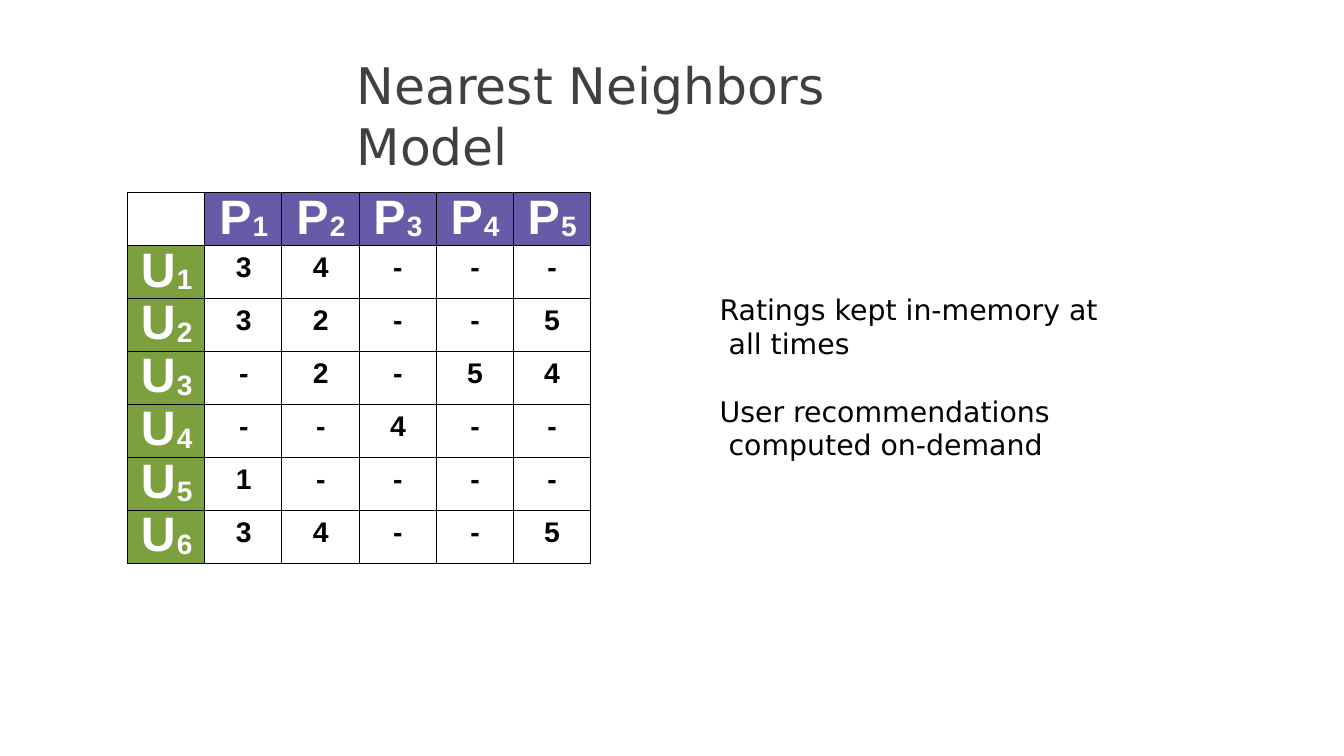
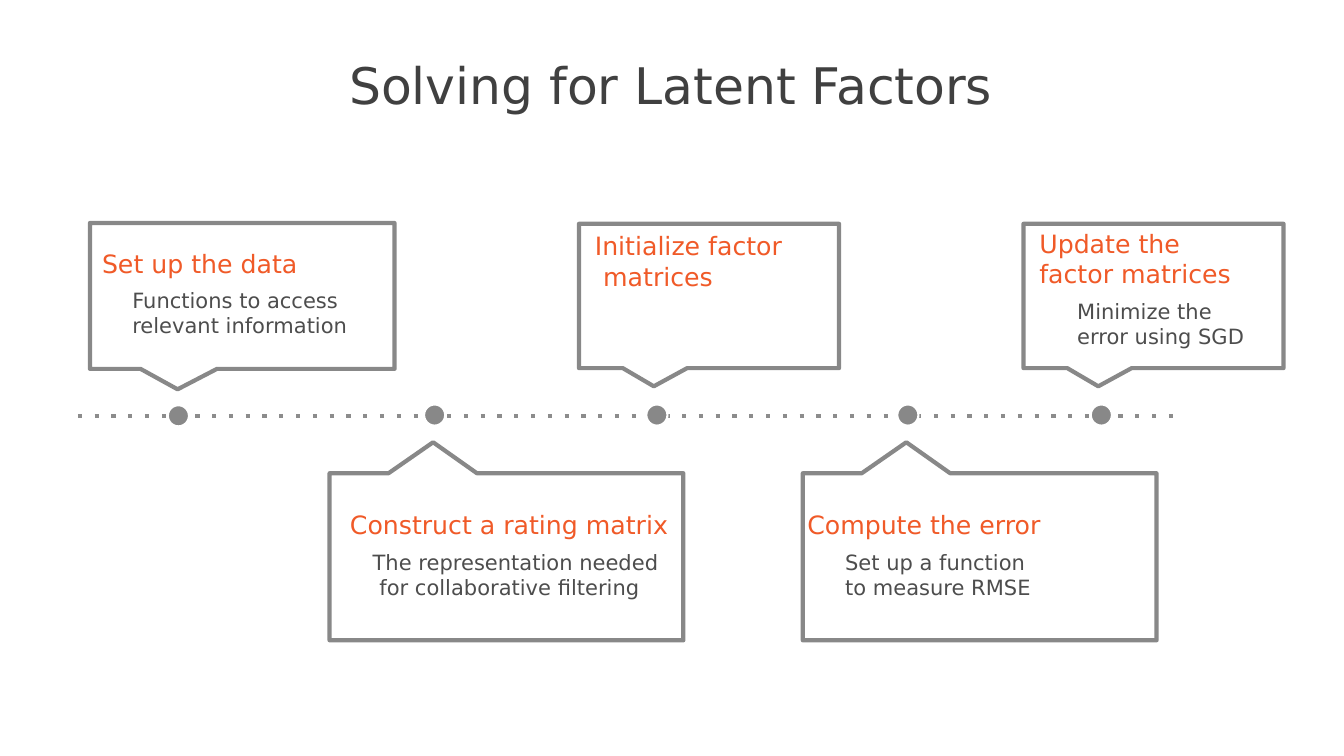
from lxml.etree import SubElement
from pptx import Presentation
from pptx.dml.color import RGBColor
from pptx.enum.shapes import MSO_CONNECTOR, MSO_SHAPE
from pptx.enum.text import PP_ALIGN
from pptx.oxml.ns import qn
from pptx.util import Inches, Pt

# Shared look
BODY_FONT, TABLE_FONT = "DejaVu Sans", "Arial"
TITLE_COLOR, DETAIL_COLOR, ACCENT = "404040", "4D4D4D", "F05A28"
BLACK, WHITE, GRAY, DOT_GRAY = "000000", "FFFFFF", "888888", "8C8C8C"
PRODUCT_FILL, USER_FILL, BORDER = "675BA7", "7CA03E", "000101"

# Ratings by user (rows) and product (columns)
RATINGS = ["34---", "32--5", "-2-54", "--4--", "1----", "34--5"]

# Timeline: marker centres and callouts
MARKERS = [(2.36, 5.5), (5.75, 5.49), (8.69, 5.49), (12.01, 5.49), (14.57, 5.49)]
UPPER_WIDE = dict(top=2.95, width=4.03, height=1.93, pointer=(0.67, 1.16, 1.68), tip=5.15)
UPPER = dict(top=2.96, width=3.44, height=1.91, pointer=(0.58, 0.99, 1.43), tip=5.11)
LOWER = dict(top=6.26, width=4.68, height=2.21, pointer=(0.78, 1.37, 1.95), tip=5.85)


def color(value):
    return RGBColor.from_string(value)


def add_span(para, text, size, ink, font=BODY_FONT, bold=False, baseline=0, spacing=0):
    span = para.add_run()
    span.text = text
    span.font.size = Pt(size)
    span.font.name = font
    span.font.bold = bold
    span.font.color.rgb = color(ink)
    properties = span.font._element
    if baseline:
        properties.set("baseline", str(baseline * 1000))
    if spacing:
        properties.set("spc", str(round(spacing * 100)))


def write(frame, text, align=PP_ALIGN.LEFT, indent=0.01, hanging=0, before=0,
          line=None, subscript=None, **font):
    """Add one paragraph; hanging moves the lines after the first one."""
    first = frame.paragraphs[0]
    para = frame.add_paragraph() if first.runs else first
    para.alignment = align
    para.space_before = Pt(before)
    if line:
        para.line_spacing = Pt(line)
    properties = para._p.get_or_add_pPr()
    properties.set("marL", str(Inches(indent + hanging)))
    properties.set("indent", str(-Inches(hanging)))
    add_span(para, text, **font)
    if subscript:
        add_span(para, subscript, **{**font, "baseline": -5})


def add_box(slide, left, top, width, height, inset=0.01):
    box = slide.shapes.add_textbox(Inches(left), Inches(top), Inches(width), Inches(height))
    frame = box.text_frame
    frame.word_wrap = True
    frame.margin_left = frame.margin_right = frame.margin_bottom = 0
    frame.margin_top = Inches(inset)
    return frame


def add_page(deck, title, left, width):
    page = deck.slides.add_slide(deck.slide_layouts[6])
    write(add_box(page, left, 0.71, width, 0.83), title, size=48, ink=TITLE_COLOR)
    return page


# Table
def style_cell(cell, fill=None, inset=0):
    cell.margin_left = cell.margin_right = cell.margin_bottom = 0
    cell.margin_top = Inches(inset)
    properties = cell._tc.get_or_add_tcPr()
    for side in ("a:lnL", "a:lnR", "a:lnT", "a:lnB"):
        border = SubElement(properties, qn(side), w=str(Pt(1)))
        solid = SubElement(border, qn("a:solidFill"))
        SubElement(solid, qn("a:srgbClr"), val=BORDER)
    if fill:
        cell.fill.solid()
        cell.fill.fore_color.rgb = color(fill)
    else:
        cell.fill.background()


def add_header(cell, letter, number, fill):
    style_cell(cell, fill)
    write(cell.text_frame, letter, subscript=str(number), align=PP_ALIGN.CENTER,
          line=49.1, size=46, ink=WHITE, font=TABLE_FONT, bold=True, spacing=1.2)


def add_ratings(page):
    rows, columns = len(RATINGS) + 1, len(RATINGS[0]) + 1
    frame = page.shapes.add_table(rows, columns, Inches(1.69), Inches(2.55),
                                  Inches(1.02 * columns), Inches(0.7 * rows))
    table = frame.table
    table.first_row = table.horz_banding = False
    for column in table.columns:
        column.width = Inches(1.02)
    for row in table.rows:
        row.height = Inches(0.7)
    style_cell(table.cell(0, 0))
    for number in range(1, columns):
        add_header(table.cell(0, number), "P", number, PRODUCT_FILL)
    for user, ratings in enumerate(RATINGS, 1):
        add_header(table.cell(user, 0), "U", user, USER_FILL)
        for product, rating in enumerate(ratings, 1):
            cell = table.cell(user, product)
            style_cell(cell, inset=0.08)
            write(cell.text_frame, rating, align=PP_ALIGN.CENTER, size=27,
                  ink=BLACK, font=TABLE_FONT, bold=True)


# Timeline
def add_dotted_line(page, left, right, y):
    line = page.shapes.add_connector(MSO_CONNECTOR.STRAIGHT, Inches(left), Inches(y),
                                     Inches(right), Inches(y))
    line.line.color.rgb = color(DOT_GRAY)
    line.line.width = Pt(4)
    SubElement(line.line._get_or_add_ln(), qn("a:prstDash"), val="dot")
    SubElement(line._element.spPr, qn("a:effectLst"))


def add_marker(page, x, y, size=0.28):
    marker = page.shapes.add_shape(MSO_SHAPE.OVAL, Inches(x - size / 2), Inches(y - size / 2),
                                   Inches(size), Inches(size))
    marker.shadow.inherit = False
    marker.fill.solid()
    marker.fill.fore_color.rgb = color(GRAY)
    marker.line.color.rgb = color(WHITE)
    marker.line.width = Pt(2)


def add_callout(page, left, top, width, height, pointer, tip):
    """Draw a box whose pointer reaches up or down to the height of tip."""
    right, bottom = left + width, top + height
    start, middle, end = (left + offset for offset in pointer)
    if tip < top:
        points = [(left, top), (start, top), (middle, tip), (end, top),
                  (right, top), (right, bottom), (left, bottom)]
    else:
        points = [(left, top), (right, top), (right, bottom), (end, bottom),
                  (middle, tip), (start, bottom), (left, bottom)]
    points = [(Inches(x), Inches(y)) for x, y in points]
    builder = page.shapes.build_freeform(*points[0])
    builder.add_line_segments(points[1:], close=True)
    callout = builder.convert_to_shape()
    callout.shadow.inherit = False
    callout.fill.background()
    callout.line.color.rgb = color(GRAY)
    callout.line.width = Pt(4)


def add_step(page, left, outline, place, heading, detail=None, inset=0.01,
             indent=0.51, before=9.2, heading_hanging=0, detail_hanging=0):
    add_callout(page, left, **outline)
    frame = add_box(page, *place, inset=inset)
    write(frame, heading, hanging=heading_hanging, size=24, ink=ACCENT)
    if detail:
        write(frame, detail, indent=indent, hanging=detail_hanging, before=before,
              size=20, ink=DETAIL_COLOR)


def build_neighbors(deck):
    page = add_page(deck, "Nearest Neighbors Model", 4.71, 8.2)
    add_ratings(page)
    notes = add_box(page, 9.51, 3.83, 5.09, 2.26, inset=0.04)
    body = dict(hanging=0.12, line=32, size=27, ink=BLACK)
    write(notes, "Ratings kept in-memory at all times", **body)
    write(notes, "User recommendations computed on-demand", before=33, **body)


def build_factors(deck):
    page = add_page(deck, "Solving for Latent Factors", 4.61, 8.56)
    add_dotted_line(page, 1.03, 15.68, 5.5)
    for x, y in MARKERS:
        add_marker(page, x, y)
    add_step(page, 1.19, UPPER_WIDE, (1.34, 3.14, 3.26, 1.35), "Set up the data",
             "Functions to access relevant information", inset=0.15, indent=0.41, before=8.2)
    add_step(page, 4.36, LOWER, (4.62, 6.57, 4.3, 1.38), "Construct a rating matrix",
             "The representation needed for collaborative filtering", inset=0.17,
             indent=0.31, detail_hanging=0.09)
    add_step(page, 7.66, UPPER, (7.86, 3.04, 2.53, 0.83), "Initialize factor matrices",
             heading_hanging=0.11)
    add_step(page, 10.62, LOWER, (10.67, 6.57, 3.2, 1.38), "Compute the error",
             "Set up a function to measure RMSE", inset=0.17)
    add_step(page, 13.54, UPPER, (13.74, 3.01, 2.8, 1.62), "Update the factor matrices",
             "Minimize the error using SGD")


def main():
    deck = Presentation()
    deck.slide_width, deck.slide_height = Inches(17.78), Inches(10)
    build_neighbors(deck)
    build_factors(deck)
    deck.save("out.pptx")


if __name__ == "__main__":
    main()
